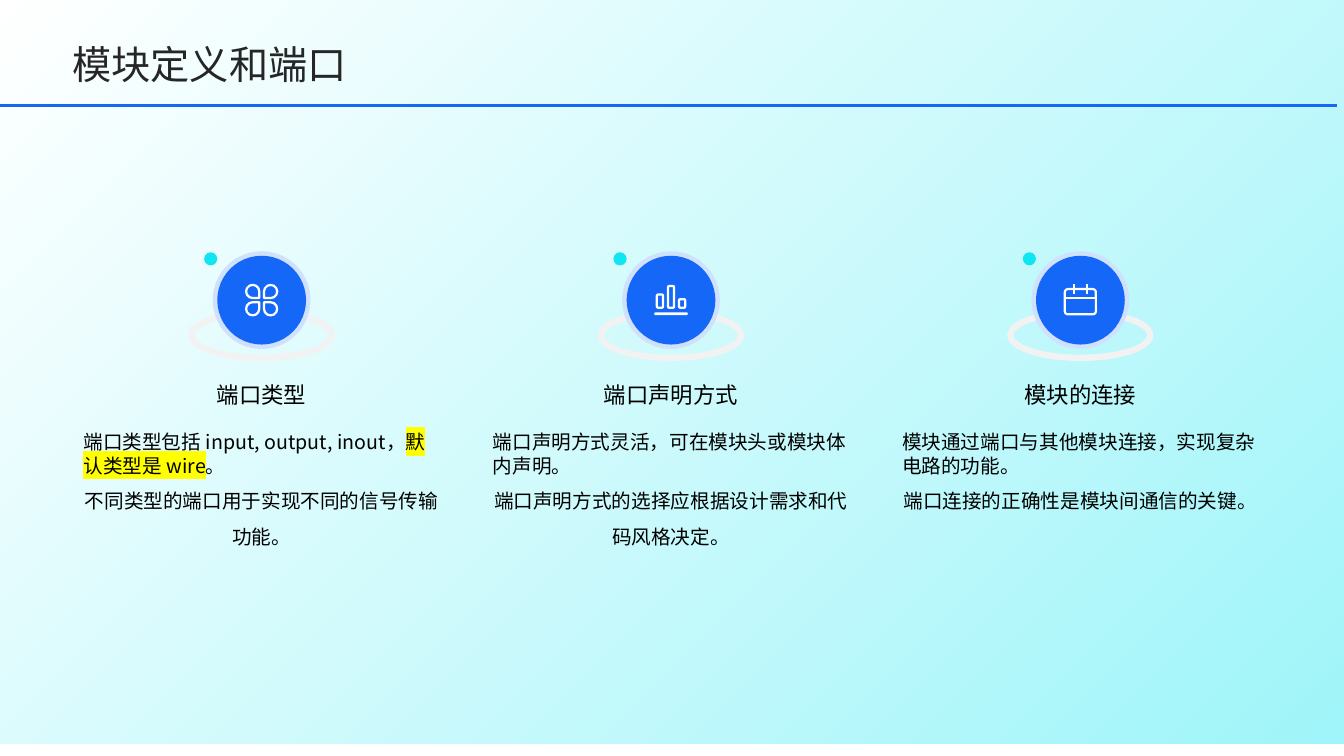
import pptx
import pptx.dml.color
import pptx.enum.shapes
import pptx.enum.text
import pptx.oxml
import pptx.oxml.ns
import pptx.util

Pt = pptx.util.Pt
SHAPE = pptx.enum.shapes.MSO_SHAPE
ALIGN = pptx.enum.text.PP_ALIGN
ANCHOR = pptx.enum.text.MSO_ANCHOR
FONT = "Noto Sans CJK SC"
COLORS = {
    "white": "FFFFFF", "aqua": "9FF5F9", "blue": "1467F7", "halo": "D0E1FD",
    "orbit": "F2F2F2", "dot": "0FE6F1", "title": "262626", "text": "000000",
    "mark": "FFFF00",
}
PANEL_LEFT, PANEL_STEP, PANEL_W = 59.6, 292.4, 254.6
ICON_Y = 214.4
STROKE = 1.6

# Each panel: heading, first paragraph as (text, highlighted) runs, second paragraph
PANELS = [
    ("端口类型",
     [("端口类型包括 input, output, inout，", False),
      ("默认类型是 wire", True), ("。", False)],
     "不同类型的端口用于实现不同的信号传输功能。"),
    ("端口声明方式",
     [("端口声明方式灵活，可在模块头或模块体内声明。", False)],
     "端口声明方式的选择应根据设计需求和代码风格决定。"),
    ("模块的连接",
     [("模块通过端口与其他模块连接，实现复杂电路的功能。", False)],
     "端口连接的正确性是模块间通信的关键。"),
]


def rgb(name):
    return pptx.dml.color.RGBColor.from_string(COLORS[name])


def drawing_element(tag, attrs, inner=""):
    ns = pptx.oxml.ns.nsdecls("a")
    return pptx.oxml.parse_xml(f"<a:{tag} {ns} {attrs}>{inner}</a:{tag}>")


def add_shape(s, kind, x, y, w, h, fill=None, line=None, width=STROKE):
    sp = s.shapes.add_shape(kind, Pt(x), Pt(y), Pt(w), Pt(h))
    sp.shadow.inherit = False
    if fill:
        sp.fill.solid()
        sp.fill.fore_color.rgb = rgb(fill)
    else:
        sp.fill.background()
    if line:
        sp.line.color.rgb = rgb(line)
        sp.line.width = Pt(width)
    else:
        sp.line.fill.background()
    return sp


def add_centered(s, kind, cx, cy, w, h, **style):
    return add_shape(s, kind, cx - w / 2, cy - h / 2, w, h, **style)


def add_line(s, x1, y1, x2, y2, color, width):
    ln = s.shapes.add_connector(pptx.enum.shapes.MSO_CONNECTOR.STRAIGHT,
                                Pt(x1), Pt(y1), Pt(x2), Pt(y2))
    ln.line.color.rgb = rgb(color)
    ln.line.width = Pt(width)
    ln._element.spPr.append(drawing_element("effectLst", ""))


def add_text(s, x, y, w, h, paragraphs, size, color="text", anchor=ANCHOR.MIDDLE):
    """paragraphs: list of (runs, alignment, line spacing)."""
    tf = s.shapes.add_textbox(Pt(x), Pt(y), Pt(w), Pt(h)).text_frame
    tf.word_wrap = True
    tf.vertical_anchor = anchor
    tf.margin_left = tf.margin_right = tf.margin_top = tf.margin_bottom = 0
    for i, (runs, align, spacing) in enumerate(paragraphs):
        p = tf.add_paragraph() if i else tf.paragraphs[0]
        p.alignment = align
        p.line_spacing = spacing
        for text, marked in runs:
            r = p.add_run()
            r.text = text
            r.font.size = Pt(size)
            r.font.name = FONT
            r.font.color.rgb = rgb(color)
            rpr = r.font._element
            latin = rpr.find(pptx.oxml.ns.qn("a:latin"))
            latin.addnext(drawing_element("ea", f'typeface="{FONT}"'))
            if marked:
                latin.addprevious(drawing_element(
                    "highlight", "", f'<a:srgbClr val="{COLORS["mark"]}"/>'))


def add_background(s):
    sp = add_shape(s, SHAPE.RECTANGLE, 0, -8.6, 960, 540)
    sp.fill.gradient()
    sp.fill.gradient_angle = 315
    for stop, name, position in zip(sp.fill.gradient_stops, ("white", "aqua"), (0, 1)):
        stop.color.rgb = rgb(name)
        stop.position = position


def add_clover_icon(s, cx, cy):
    # The tip of every petal points to the centre
    for dx, dy, angle in ((-1, -1, 90), (1, -1, 180), (1, 1, 270), (-1, 1, 0)):
        petal = add_centered(s, SHAPE.TEAR, cx + 6.4 * dx, cy + 6.2 * dy, 9.4, 9.4,
                             line="white")
        petal.rotation = angle


def add_bars_icon(s, cx, cy):
    bottom = cy + 5.4
    for i, height in enumerate((9.4, 15.5, 6.1)):
        bar = add_shape(s, SHAPE.ROUNDED_RECTANGLE, cx + 7.9 * (i - 1) - 2.2,
                        bottom - height, 4.4, height, line="white")
        bar.adjustments[0] = 0.2
    base = add_centered(s, SHAPE.ROUNDED_RECTANGLE, cx, cy + 9.7, 24, 2, fill="white")
    base.adjustments[0] = 0.5


def add_calendar_icon(s, cx, cy):
    body = add_shape(s, SHAPE.ROUNDED_RECTANGLE, cx - 11.1, cy - 7.9, 22.2, 18,
                     line="white")
    body.adjustments[0] = 0.12
    add_line(s, cx - 11.1, cy - 1.8, cx + 11.1, cy - 1.8, "white", STROKE)
    for x in (cx - 4.5, cx + 4.5):
        add_line(s, x, cy - 11.5, x, cy - 4.3, "white", STROKE)


def add_panel(s, left, panel, add_icon):
    heading, first, second = panel
    cx = left + PANEL_W / 2
    # Body and heading
    add_text(s, left, 307.4, PANEL_W, 92.2,
             [(first, ALIGN.LEFT, 1.0), ([(second, False)], ALIGN.CENTER, 1.5)],
             14, anchor=ANCHOR.TOP)
    add_text(s, left, 261.4, PANEL_W, 38.9,
             [([(heading, False)], ALIGN.CENTER, 1.1)], 16)
    # Badge with orbit and satellite dot
    add_centered(s, SHAPE.OVAL, cx, 239.4, 100, 32.4, line="orbit", width=4.5)
    add_centered(s, SHAPE.OVAL, cx, ICON_Y, 69.8, 69.8, fill="halo")
    add_centered(s, SHAPE.OVAL, cx, ICON_Y, 63.4, 63.4, fill="blue")
    add_icon(s, cx, ICON_Y)
    add_centered(s, SHAPE.OVAL, cx - 36.4, 184.9, 9.4, 9.4, fill="dot")


def main():
    prs = pptx.Presentation()
    prs.slide_width, prs.slide_height = Pt(960), Pt(540)
    s = prs.slides.add_slide(prs.slide_layouts[6])
    add_background(s)

    # Three panels
    icons = (add_clover_icon, add_bars_icon, add_calendar_icon)
    for i, (panel, add_icon) in enumerate(zip(PANELS, icons)):
        add_panel(s, PANEL_LEFT + i * PANEL_STEP, panel, add_icon)

    # Title and rule
    add_text(s, 51.8, 25.2, 840, 36.7,
             [([("模块定义和端口", False)], ALIGN.LEFT, 1.1)], 28, "title")
    add_line(s, 0, 75.4, 955, 75.4, "blue", 2.25)
    prs.save("out.pptx")


if __name__ == "__main__":
    main()
